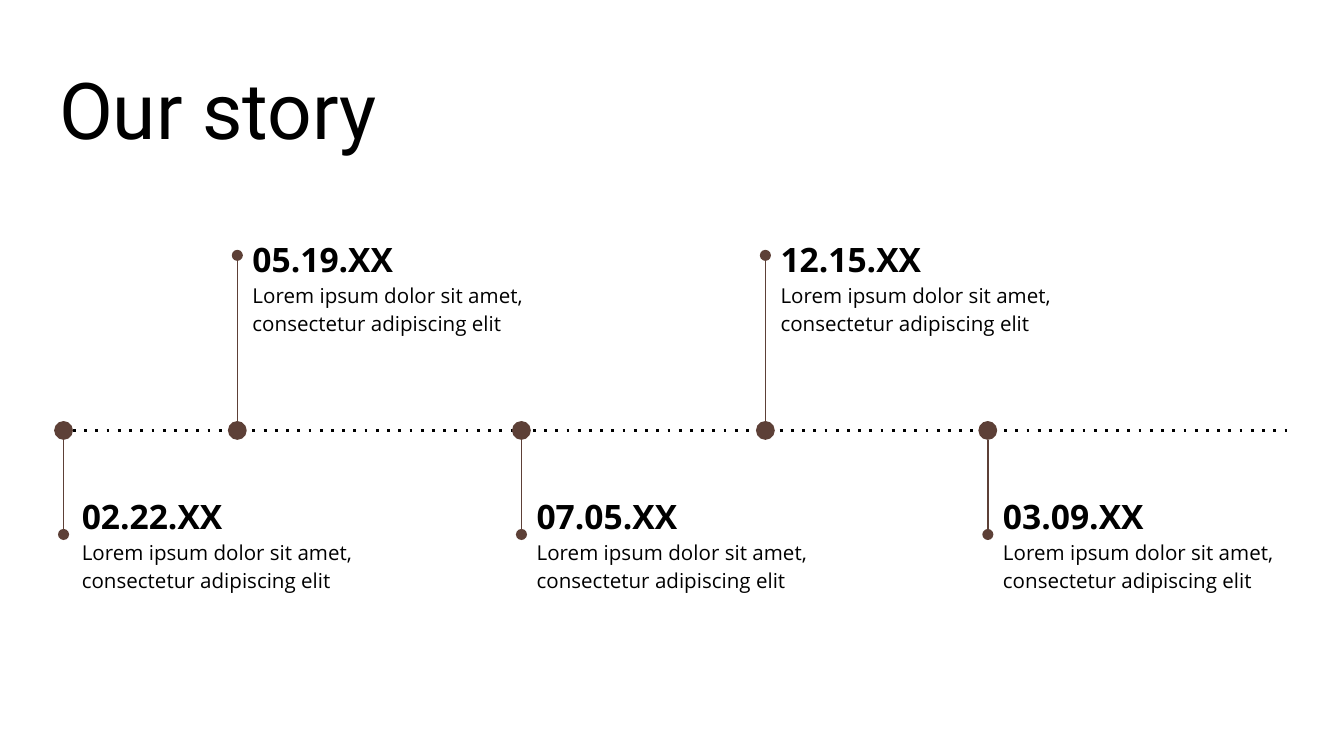
from dataclasses import dataclass

from lxml import etree
from pptx import Presentation
from pptx import util as u
from pptx.dml.color import RGBColor
from pptx.enum import dml, shapes, text
from pptx.oxml.ns import qn

COLORS = {"ink": "000000", "accent": "5D4037"}
FONTS = {"title": "Roboto", "body": "Open Sans"}
# The slide is a grid of square cells, 100 columns by 56.25 rows (16:9).
COLUMNS, ROWS = 100, 56.25
CELL = u.Inches(0.1)
AXIS_ROW = 32.03
DOT = 1.4
CAPTION = "Lorem ipsum dolor sit amet, consectetur adipiscing elit"


@dataclass(frozen=True)
class Side:
    """Rows shared by all events on one side of the axis."""
    stem_start: float
    stem_end: float
    text_top: float
    text_height: float


@dataclass(frozen=True)
class Event:
    date: str
    column: float
    side: Side
    text_gap: float = 0.14


ABOVE = Side(AXIS_ROW - DOT / 2, 19, 16.34, 12)
BELOW = Side(AXIS_ROW + DOT / 2, 39.77, 35.44, 13.2)
EVENTS = [
    Event("02.22.XX", 4.73, BELOW, 0.37),
    Event("05.19.XX", 17.66, ABOVE),
    Event("07.05.XX", 38.8, BELOW),
    Event("12.15.XX", 56.95, ABOVE),
    Event("03.09.XX", 73.5, BELOW),
]


def cells(count: float) -> int:
    return round(count * CELL)


def color(name: str) -> RGBColor:
    return RGBColor.from_string(COLORS[name])


def add_line(slide, start: tuple, end: tuple, shade: str, points: float):
    line = slide.shapes.add_connector(
        shapes.MSO_CONNECTOR.STRAIGHT, *map(cells, start + end))
    line.line.color.rgb = color(shade)
    line.line.width = u.Pt(points)
    etree.SubElement(line._element.spPr, qn("a:effectLst"))
    return line


def add_text(slide, area: tuple, lines: list, font: str, anchor, spacing: float = 1.0) -> None:
    """Write lines of (wording, size, bold), one paragraph each."""
    box = slide.shapes.add_textbox(*map(cells, area))
    frame = box.text_frame
    frame.word_wrap = True
    frame.vertical_anchor = anchor
    frame.margin_left = frame.margin_right = cells(1)
    frame.margin_top = frame.margin_bottom = cells(1)
    frame.text = "\n".join(wording for wording, _, _ in lines)
    for para, (_, size, bold) in zip(frame.paragraphs, lines):
        para.line_spacing = spacing
        for span in para.runs:
            span.font.name = FONTS[font]
            span.font.size = u.Pt(size)
            span.font.bold = bold
            span.font.color.rgb = color("ink")


def add_event(slide, event: Event) -> None:
    side = event.side
    dot = slide.shapes.add_shape(
        shapes.MSO_SHAPE.OVAL,
        *map(cells, (event.column - DOT / 2, AXIS_ROW - DOT / 2, DOT, DOT)))
    dot.shadow.inherit = False
    dot.fill.solid()
    dot.fill.fore_color.rgb = color("accent")
    dot.line.fill.background()

    stem = add_line(slide, (event.column, side.stem_start),
                    (event.column, side.stem_end), "accent", 0.75)
    etree.SubElement(stem.line._get_or_add_ln(), qn("a:tailEnd"), type="oval")

    add_text(slide,
             (event.column + event.text_gap, side.text_top, 23.8, side.text_height),
             [(event.date, 18, True), (CAPTION, 11, False)],
             "body", text.MSO_ANCHOR.TOP, 1.15)


def main() -> None:
    deck = Presentation()
    deck.slide_width, deck.slide_height = cells(COLUMNS), cells(ROWS)
    slide = deck.slides.add_slide(deck.slide_layouts[6])

    axis = add_line(slide, (4.6, AXIS_ROW), (95.8, AXIS_ROW), "ink", 1.5)
    axis.line.dash_style = dml.MSO_LINE.ROUND_DOT
    axis.line._get_or_add_ln().find(qn("a:prstDash")).set("val", "dot")
    add_text(slide, (3.41, 3.45, 93.2, 9.1), [("Our story", 42, False)],
             "title", text.MSO_ANCHOR.BOTTOM)
    for event in EVENTS:
        add_event(slide, event)

    deck.save("out.pptx")


if __name__ == "__main__":
    main()
